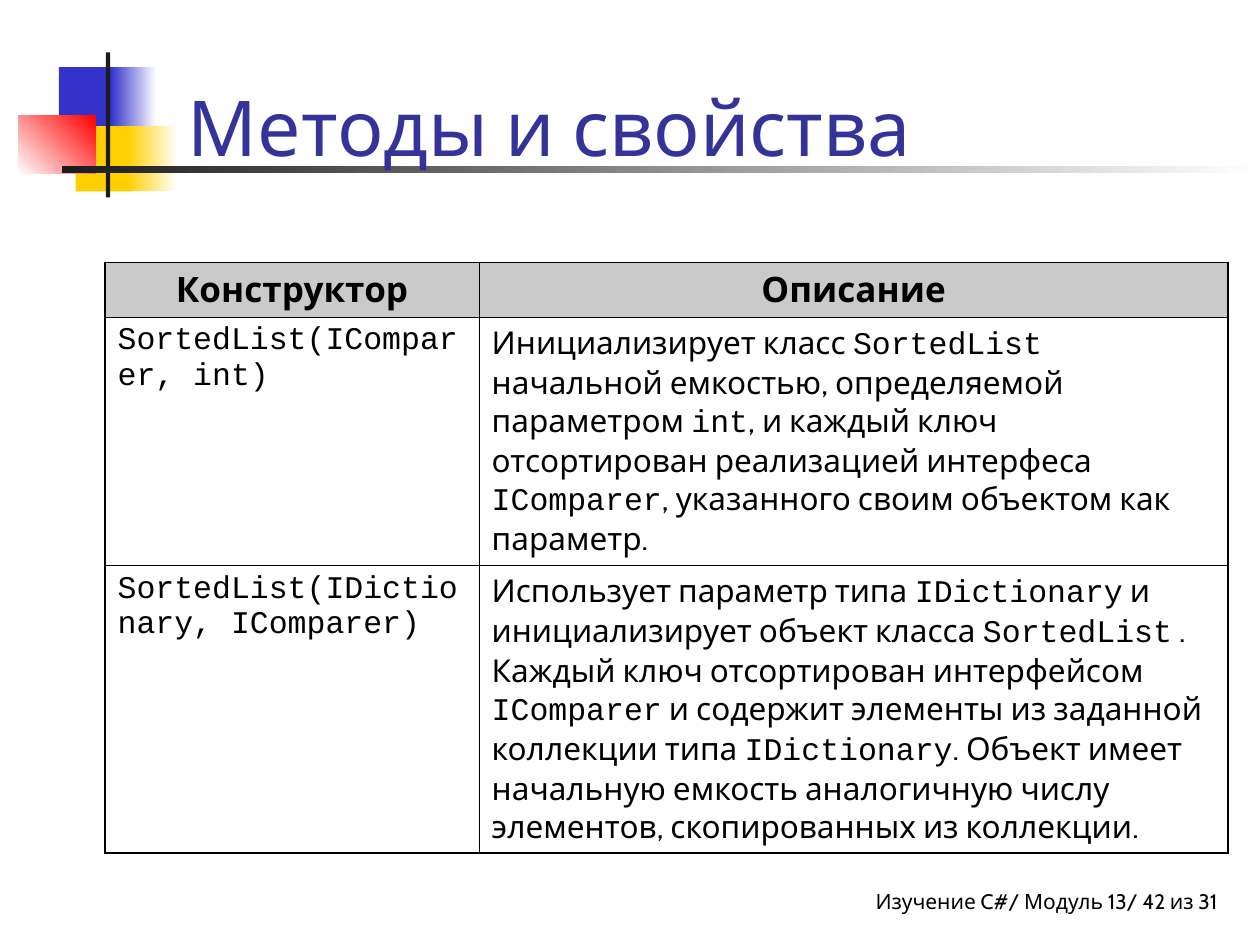
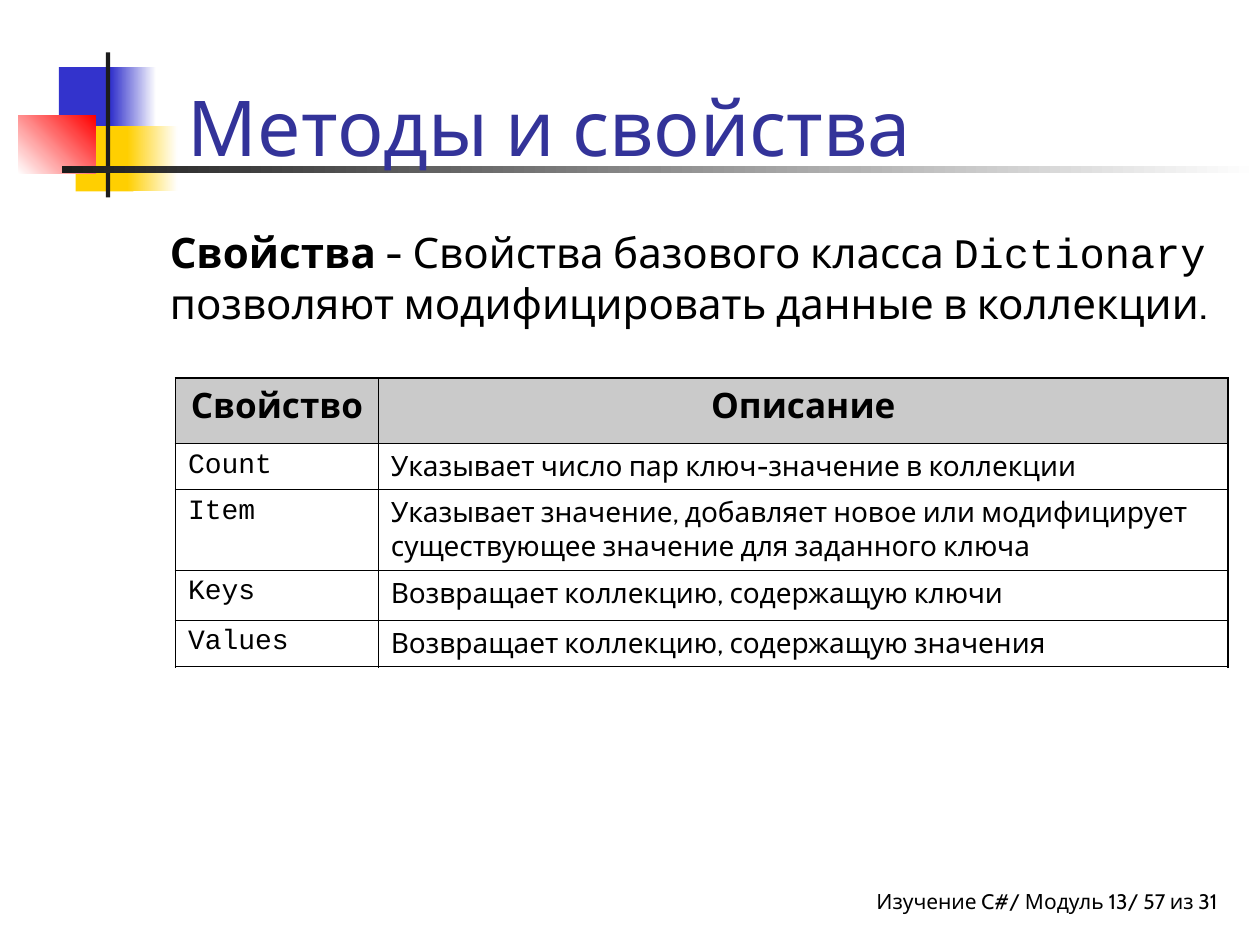
from lxml.etree import SubElement
from pptx import Presentation
from pptx.dml.color import RGBColor
from pptx.enum.shapes import MSO_SHAPE
from pptx.enum.text import MSO_ANCHOR, PP_ALIGN
from pptx.oxml.ns import qn
from pptx.util import Pt

BODY_FONT, CODE_FONT = "Cabin", "Courier New"
BLACK, WHITE, CHARCOAL, GREY = "000000", "FFFFFF", "1C1C1C", "969696"
BLUE, YELLOW, RED, TITLE_BLUE = "3333CC", "FFCF01", "FF0000", "333399"
OUTER_LINE, INNER_LINE = 1.08, 0.45

# Corner ornament: left, top, width, height, start colour, end colour, angle
ORNAMENT = [
    (33.6, 38.4, 34.6, 37.4, BLUE, None, 0),
    (63.4, 38.4, 25.9, 37.4, BLUE, WHITE, 0),
    (43.2, 72, 33.1, 37.4, YELLOW, None, 0),
    (72.7, 72, 28.8, 37.4, YELLOW, WHITE, 0),
    (10.4, 66, 44.3, 33.4, WHITE, RED, 45),
    (60.5, 30, 2.4, 82.8, CHARCOAL, None, 0),
    (35.3, 94.9, 684.7, 4.2, CHARCOAL, WHITE, 0),
]


def color(code):
    return RGBColor.from_string(code)


def write(frame, text, size=18, ink=BLACK, bold=False, lead="", align=PP_ALIGN.LEFT):
    """Write one paragraph: a bold lead, then text with `code` in backticks."""
    para = frame.paragraphs[0]
    para.alignment = align
    spans = [(lead, BODY_FONT, True)] if lead else []
    for index, part in enumerate(text.split("`")):
        if part:
            spans.append((part, CODE_FONT if index % 2 else BODY_FONT, bold))
    for words, name, heavy in spans:
        span = para.add_run()
        span.text = words
        span.font.name = name
        span.font.size = Pt(size)
        span.font.bold = heavy
        span.font.color.rgb = color(ink)


class Slides:
    def __init__(self):
        self.deck = Presentation()
        self.deck.slide_width, self.deck.slide_height = Pt(720), Pt(540)
        self.page = None

    def start(self, title, footer):
        """Add a page with the shared footer, ornament and title."""
        self.page = self.deck.slides.add_slide(self.deck.slide_layouts[6])
        self.text(330, 504, 365.8, 23.8, footer, size=12,
                  align=PP_ALIGN.RIGHT, right_inset=0)
        for piece in ORNAMENT:
            self.block(*piece)
        self.text(100.3, 11.8, 613.4, 90, title, size=44, ink=TITLE_BLUE,
                  anchor=MSO_ANCHOR.BOTTOM)

    def block(self, left, top, width, height, start, end, angle):
        shape = self.page.shapes.add_shape(
            MSO_SHAPE.RECTANGLE, Pt(left), Pt(top), Pt(width), Pt(height))
        shape.shadow.inherit = False
        shape.line.fill.background()
        if end is None:
            shape.fill.solid()
            shape.fill.fore_color.rgb = color(start)
            return
        shape.fill.gradient()
        shape.fill.gradient_angle = angle
        for stop, code in zip(shape.fill.gradient_stops, (start, end)):
            stop.color.rgb = color(code)

    def text(self, left, top, width, height, text, anchor=MSO_ANCHOR.TOP,
             right_inset=7.2, **style):
        box = self.page.shapes.add_textbox(Pt(left), Pt(top), Pt(width), Pt(height))
        frame = box.text_frame
        frame.word_wrap = True
        frame.vertical_anchor = anchor
        frame.margin_right = Pt(right_inset)
        write(frame, text, **style)

    def table(self, left, top, widths, heights, rows, size):
        """Draw a table whose first row is the shaded header."""
        table = self.page.shapes.add_table(
            len(rows), len(widths), Pt(left), Pt(top),
            Pt(sum(widths)), Pt(sum(heights))).table
        table.first_row = table.horz_banding = False
        for column, width in zip(table.columns, widths):
            column.width = Pt(width)
        last_row, last_column = len(rows) - 1, len(widths) - 1
        for r, (row, height) in enumerate(zip(rows, heights)):
            table.rows[r].height = Pt(height)
            for c, words in enumerate(row):
                cell = table.cell(r, c)
                self.borders(cell, lnL=c == 0, lnR=c == last_column,
                             lnT=r == 0, lnB=r == last_row)
                if r == 0:
                    self.shade(cell)
                    write(cell.text_frame, words, size=20, bold=True,
                          align=PP_ALIGN.CENTER)
                else:
                    cell.fill.background()
                    write(cell.text_frame, words, size=size)

    def borders(self, cell, **edges):
        props = cell._tc.get_or_add_tcPr()
        for tag, outer in edges.items():
            weight = Pt(OUTER_LINE if outer else INNER_LINE)
            line = SubElement(props, qn("a:" + tag), w=str(int(weight)))
            fill = SubElement(line, qn("a:solidFill"))
            SubElement(fill, qn("a:srgbClr"), val=BLACK)

    def shade(self, cell):
        """Fill a header cell with half-transparent grey."""
        cell.fill.solid()
        cell.fill.fore_color.rgb = color(GREY)
        fill = cell._tc.tcPr.find(qn("a:solidFill"))
        SubElement(fill[0], qn("a:alpha"), val="50000")


def main():
    slides = Slides()
    title = "Методы и свойства"
    footer = "Изучение C#/ Модуль 13/ {} из 31"

    # Constructors
    slides.start(title, footer.format(42))
    slides.table(60, 150, [213.8, 428], [31.4, 141.8, 164.3], [
        ("Конструктор", "Описание"),
        ("`SortedList(IComparer, int)`",
         "Инициализирует класс `SortedList` начальной емкостью, определяемой "
         "параметром `int`, и каждый ключ отсортирован реализацией интерфеса "
         "`IComparer`, указанного своим объектом как параметр."),
        ("`SortedList(IDictionary, IComparer)`",
         "Использует параметр типа `IDictionary` и инициализирует объект класса "
         "`SortedList` . Каждый ключ отсортирован интерфейсом `IComparer` и "
         "содержит элементы из заданной коллекции типа `IDictionary`. Объект "
         "имеет начальную емкость аналогичную числу элементов, скопированных "
         "из коллекции."),
    ], size=18)

    # Properties
    slides.start(title, footer.format(57))
    slides.text(90, 126, 612, 366,
                " - Свойства базового класса `Dictionary` позволяют "
                "модифицировать данные в коллекции.", size=24, lead="Свойства")
    slides.table(100.3, 216, [115.9, 485.7], [37.4, 26.4, 46, 28.6, 26.6], [
        ("Свойство", "Описание"),
        ("`Count`", "Указывает число пар ключ-значение в коллекции"),
        ("`Item`", "Указывает значение, добавляет новое или модифицирует "
                   "существующее значение для заданного ключа"),
        ("`Keys`", "Возвращает коллекцию, содержащую ключи"),
        ("`Values`", "Возвращает коллекцию, содержащую значения"),
    ], size=16)

    slides.deck.save("out.pptx")


if __name__ == "__main__":
    main()
